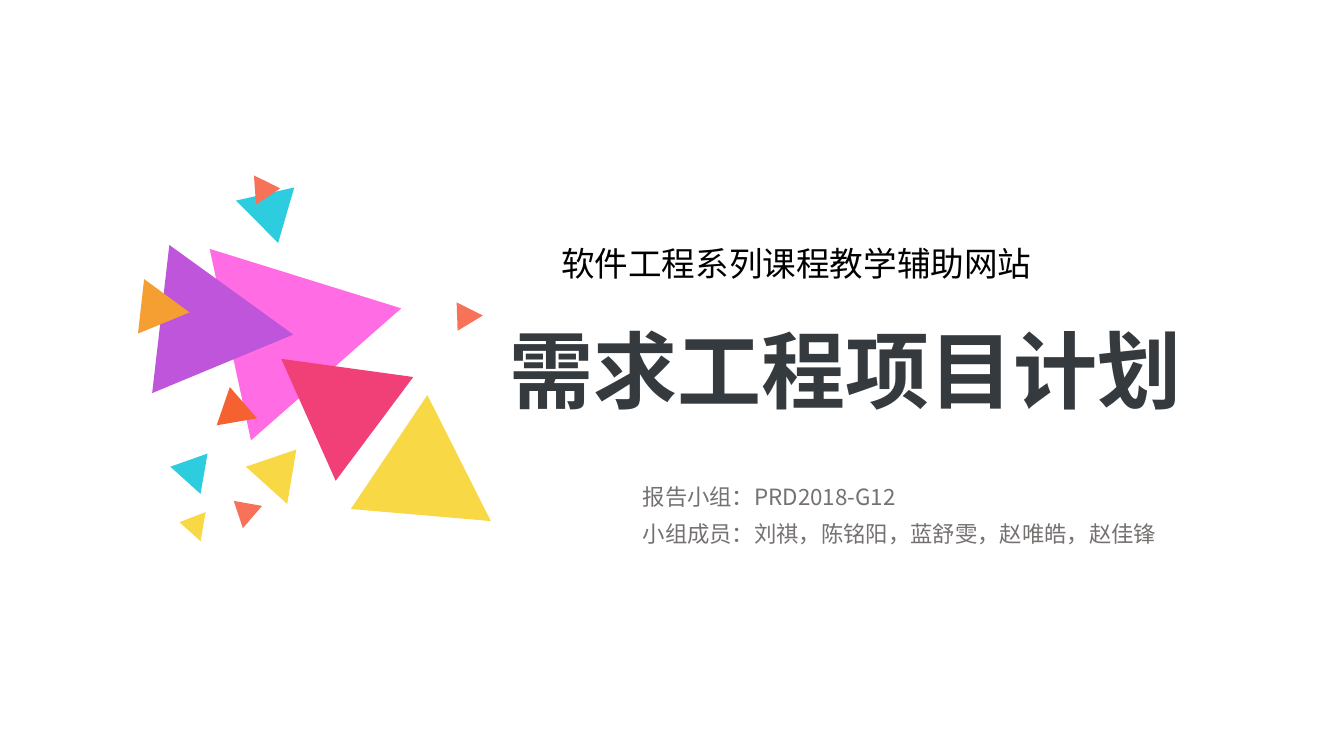
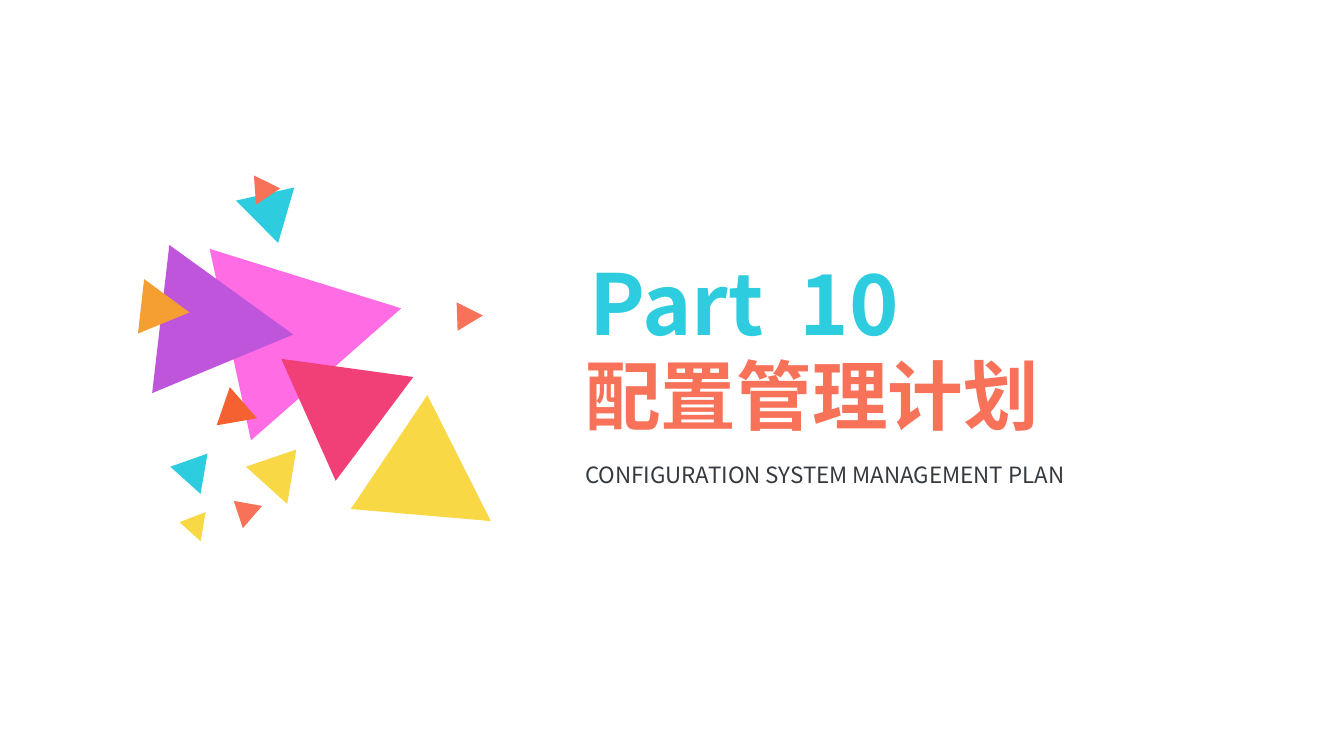
from lxml import etree
from pptx import Presentation
from pptx.dml.color import RGBColor
from pptx.enum import text
from pptx.oxml import ns
from pptx.util import Pt

FONT = "Noto Sans CJK SC"
CYAN, YELLOW, CORAL = "2DCCDF", "F8D845", "F77258"
PINK, PURPLE, AMBER = "FF6CE4", "BF55DB", "F59E32"
ORANGE, CRIMSON = "F56130", "F04077"
BLACK, DARK, GREY = "000000", "353A3E", "767171"
LEFT, CENTER = text.PP_ALIGN.LEFT, text.PP_ALIGN.CENTER

# Triangle cluster shared by the slides, back to front: colour and corners
TRIANGLES = [
    (CYAN, [(210.2, 133.9), (198.7, 173.5), (168.5, 143.3)]),
    (PINK, [(179.3, 314.6), (149.8, 177.8), (286.6, 220.3)]),
    (PURPLE, [(108.7, 280.8), (121, 175), (209.5, 239)]),
    (AMBER, [(98.6, 238.3), (103, 199.4), (135.4, 223.2)]),
    (ORANGE, [(154.8, 303.8), (164.2, 276.5), (183.6, 298.8)]),
    (CYAN, [(121.7, 333.4), (148.3, 324), (143.3, 352.8)]),
    (YELLOW, [(128.2, 373), (146.9, 365.8), (143.3, 386.6)]),
    (CORAL, [(173.5, 377.3), (167, 357.8), (187.2, 361.4)]),
    (YELLOW, [(175.7, 333.4), (211.7, 321.1), (205.2, 360)]),
    (YELLOW, [(250.6, 363.6), (305.3, 282.2), (350.6, 372.2)]),
    (CRIMSON, [(295.2, 269.3), (239.8, 343.4), (200.9, 256.3)]),
    (CORAL, [(326.9, 236.2), (326.2, 216), (344.9, 225.4)]),
    (CORAL, [(182.9, 146.2), (181.4, 125.3), (200.2, 134.6)]),
]

# Text of each slide: wording, box (left, top, width, height), size, colour, bold, alignment
SLIDES = [
    [
        ("软件工程系列课程教学辅助网站", (346.3, 170, 445, 36), 24, BLACK, False, CENTER),
        ("需求工程项目计划", (357, 224, 585.4, 152.6), 60, DARK, True, LEFT),
        ("报告小组：PRD2018-G12", (452, 341.3, 476.6, 26.6), 16, GREY, False, LEFT),
        ("小组成员：刘祺，陈铭阳，蓝舒雯，赵唯皓，赵佳锋",
         (452, 368, 476.6, 26.6), 16, GREY, False, LEFT),
    ],
    [
        ("Part\t10", (414, 176.4, 324, 80), 60, CYAN, True, LEFT),
        ("配置管理计划", (411, 245.5, 509.8, 72.7), 54, CORAL, True, LEFT),
        ("CONFIGURATION SYSTEM MANAGEMENT PLAN",
         (411, 326.2, 476.6, 26.6), 16, DARK, False, LEFT),
    ],
]
NUMBER_TAB = 150  # where the part number starts inside its box


def rgb(value):
    return RGBColor.from_string(value)


def add_text(slide, wording, box, size, color, bold, alignment):
    shape = slide.shapes.add_textbox(*(Pt(length) for length in box))
    shape.text_frame.word_wrap = True
    shape.text_frame.text = wording
    paragraph = shape.text_frame.paragraphs[0]
    paragraph.alignment = alignment
    if "\t" in wording:
        properties = paragraph._p.get_or_add_pPr()
        tabs = etree.SubElement(properties, ns.qn("a:tabLst"))
        etree.SubElement(tabs, ns.qn("a:tab"), pos=str(Pt(NUMBER_TAB)), algn="l")
    for run in paragraph.runs:
        run.font.size = Pt(size)
        run.font.bold = bold
        run.font.color.rgb = rgb(color)
        run.font.name = FONT
        # East Asian characters take their own typeface
        etree.SubElement(run._r.get_or_add_rPr(), ns.qn("a:ea"), typeface=FONT)


presentation = Presentation()
presentation.slide_width = Pt(960)
presentation.slide_height = Pt(540)

for texts in SLIDES:
    slide = presentation.slides.add_slide(presentation.slide_layouts[6])

    # Triangles
    for color, corners in TRIANGLES:
        start, *others = [(Pt(x), Pt(y)) for x, y in corners]
        builder = slide.shapes.build_freeform(*start)
        builder.add_line_segments(others, close=True)
        triangle = builder.convert_to_shape()
        triangle.shadow.inherit = False
        triangle.fill.solid()
        triangle.fill.fore_color.rgb = rgb(color)
        triangle.line.fill.background()

    # Titles and details
    for entry in texts:
        add_text(slide, *entry)

presentation.save("out.pptx")
